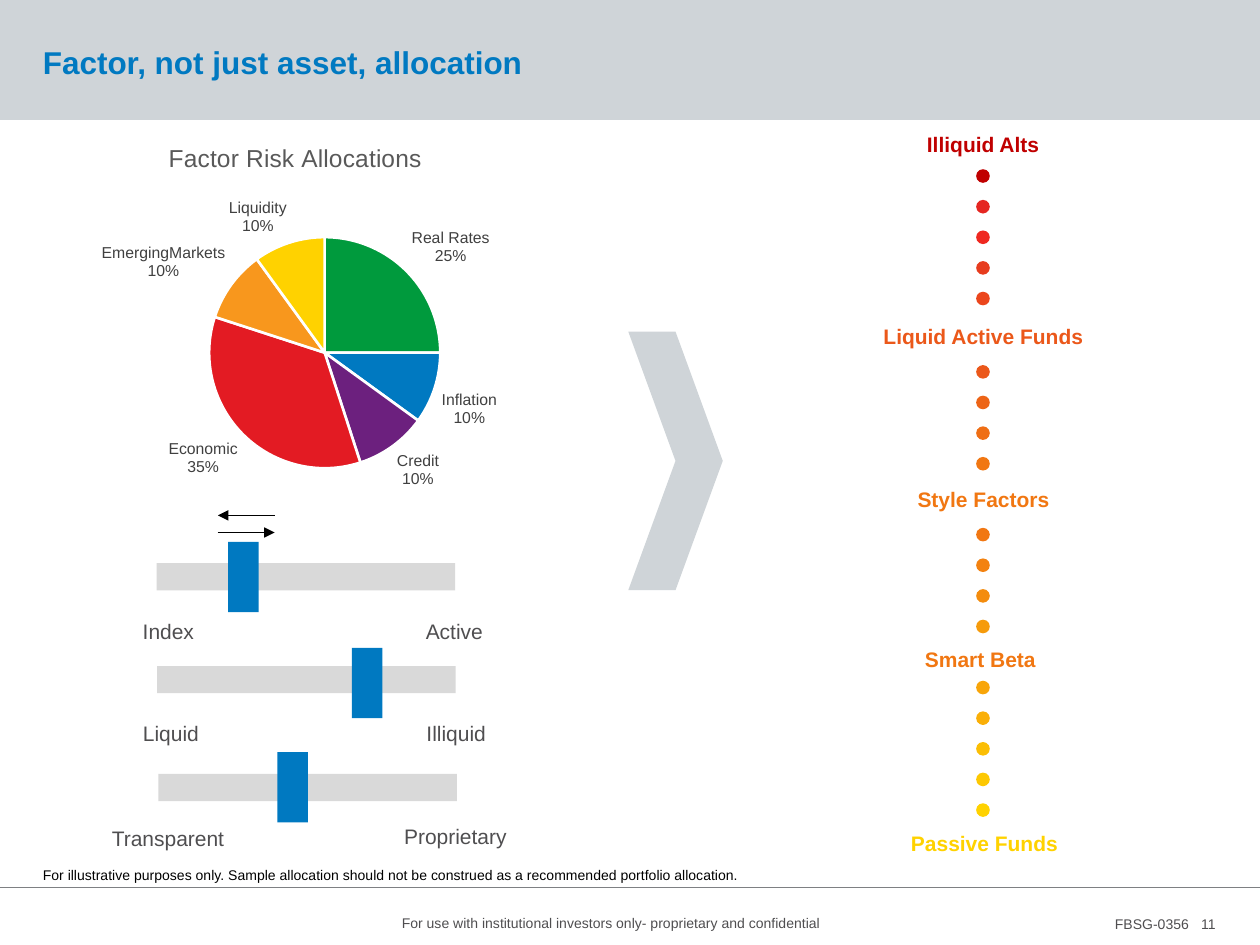
from lxml import etree
from pptx import Presentation
from pptx.chart.data import CategoryChartData
from pptx.dml.color import RGBColor
from pptx.enum.chart import XL_CHART_TYPE, XL_LABEL_POSITION
from pptx.enum.shapes import MSO_CONNECTOR, MSO_SHAPE
from pptx.enum.text import MSO_ANCHOR, PP_ALIGN
from pptx.oxml import parse_xml
from pptx.oxml.ns import nsdecls, qn
from pptx.util import Pt

FONT = "Arial"
COLORS = {
    "band": "CFD4D8", "rule": "7E8083", "track": "D9D9D9", "blue": "0079C1",
    "gray": "4F4E50", "black": "000000", "white": "FFFFFF",
    "chart title": "595959", "chart label": "404040",
}

TITLE = "Factor, not just asset, allocation"
CHART_TITLE = "Factor Risk Allocations"
FACTORS = [  # name, percent, color
    ("Real Rates", 25, "009A3D"), ("Inflation", 10, "0079C1"),
    ("Credit", 10, "6C207E"), ("Economic", 35, "E31B23"),
    ("EmergingMarkets", 10, "F8971D"), ("Liquidity", 10, "FFD200"),
]
SLIDERS = [  # track left, track top, knob left, knob top
    (89.5, 321.8, 130.3, 309.6),
    (89.8, 380.6, 201.1, 370.2),
    (90.5, 442.2, 158.5, 429.8),
]
SLIDER_LABELS = [  # text, left, top, width
    ("Index", 74.5, 350, 44), ("Active", 236.2, 350, 48),
    ("Liquid", 74.6, 408.2, 47), ("Illiquid", 236.6, 408.2, 49),
    ("Transparent", 56.8, 468.2, 79), ("Proprietary", 223.8, 467.2, 74),
]
ARROWS = [(156.9, 124.5, 294.5), (124.3, 156.9, 304.3)]  # start x, end x, y
SPECTRUM_LABELS = [  # text, center x, top, color
    ("Illiquid Alts", 561.8, 73.6, "C00000"),
    ("Liquid Active Funds", 562, 183.2, "EB581A"),
    ("Style Factors", 562, 276.8, "F17712"),
    ("Smart Beta", 560.2, 367.8, "F17712"),
    ("Passive Funds", 562.6, 473, "FFD200"),
]
DOT_GROUPS = [  # top of first dot, colors downward
    (96.7, ["C00000", "E52621", "EF2820", "E73C1E", "EB461C"]),
    (208.6, ["EB581A", "ED6416", "EF6E14", "F17712"]),
    (301.6, ["F17712", "F38210", "F48C0D", "F69B0B"]),
    (389, ["F8A509", "FAAF07", "FBBE04", "FDC802", "FFD200"]),
]
DOT_LEFT, DOT_SIZE, DOT_STEP = 557.8, 7.8, 17.5
DISCLAIMER = ("For illustrative purposes only. Sample allocation should not be "
              "construed as a recommended portfolio allocation.")
CONFIDENTIAL = "For use with institutional investors only- proprietary and confidential"


def rgb(value):
    return RGBColor.from_string(COLORS.get(value, value))


def style_font(font, size, color, bold=False):
    font.name, font.size, font.bold = FONT, Pt(size), bold
    font.color.rgb = rgb(color)


def fill_text(frame, text, size, color, bold=False, align=PP_ALIGN.LEFT,
              anchor=MSO_ANCHOR.TOP, insets=(7.2, 3.6, 7.2, 3.6), wrap=True):
    frame.word_wrap = wrap
    frame.vertical_anchor = anchor
    (frame.margin_left, frame.margin_top,
     frame.margin_right, frame.margin_bottom) = map(Pt, insets)
    para = frame.paragraphs[0]
    para.alignment = align
    span = para.add_run()
    span.text = text
    style_font(span.font, size, color, bold)
    return para


def add_text(page, place, text, size, color, **options):
    box = page.shapes.add_textbox(*map(Pt, place))
    fill_text(box.text_frame, text, size, color, **options)


def add_block(page, kind, place, color):
    shape = page.shapes.add_shape(kind, *map(Pt, place))
    shape.shadow.inherit = False
    shape.fill.solid()
    shape.fill.fore_color.rgb = rgb(color)
    shape.line.fill.background()
    return shape


def add_line(page, ends, color, arrow=False):
    line = page.shapes.add_connector(MSO_CONNECTOR.STRAIGHT, *map(Pt, ends))
    line.line.width = Pt(0.75)
    line.line.color.rgb = rgb(color)
    if arrow:
        etree.SubElement(line.line._get_or_add_ln(), qn("a:tailEnd"), type="triangle")
    etree.SubElement(line._element.spPr, qn("a:effectLst"))


def add_pie(page):
    data = CategoryChartData()
    data.categories = [name for name, _, _ in FACTORS]
    data.add_series("Series 1", [percent for _, percent, _ in FACTORS])
    chart = page.shapes.add_chart(
        XL_CHART_TYPE.PIE, Pt(-40.3), Pt(70.6), Pt(418.3), Pt(223.9), data).chart
    style_font(chart.font, 10, "black")
    chart.has_legend = False
    chart.has_title = True
    span = chart.chart_title.text_frame.paragraphs[0].add_run()
    span.text = CHART_TITLE
    style_font(span.font, 14, "chart title")

    plot = chart.plots[0]
    plot.vary_by_categories = True
    for index, (_, _, color) in enumerate(FACTORS):
        part = plot.series[0].points[index].format
        part.fill.solid()
        part.fill.fore_color.rgb = rgb(color)
        part.line.color.rgb = rgb("white")
        part.line.width = Pt(1.5)
    plot.has_data_labels = True
    labels = plot.data_labels
    labels.show_category_name = labels.show_percentage = True
    labels.show_value = False
    labels.number_format, labels.number_format_is_linked = "0%", False
    labels.position = XL_LABEL_POSITION.OUTSIDE_END
    style_font(labels.font, 9, "chart label")

    area = chart._chartSpace.chart.plotArea
    for old in area.findall(qn("c:layout")):
        area.remove(old)
    sizes = {"x": 0.38, "y": 0.29, "w": 0.32, "h": 0.59}
    area.insert(0, parse_xml(
        f'<c:layout {nsdecls("c")}><c:manualLayout><c:layoutTarget val="inner"/>'
        '<c:xMode val="edge"/><c:yMode val="edge"/>'
        + "".join(f'<c:{key} val="{value}"/>' for key, value in sizes.items())
        + "</c:manualLayout></c:layout>"))


def add_title(page):
    title = page.shapes.title
    title.left, title.top, title.width, title.height = map(Pt, (24.5, 13, 669, 46.8))
    para = fill_text(title.text_frame, TITLE, 18, "blue", bold=True,
                     anchor=MSO_ANCHOR.MIDDLE, insets=(0, 0, 0, 0))
    para.line_spacing = Pt(20)
    page.shapes._spTree.append(title._element)  # in front of the header band


def add_sliders(page):
    for track_left, track_top, knob_left, knob_top in SLIDERS:
        add_block(page, MSO_SHAPE.RECTANGLE, (track_left, track_top, 170.6, 15.6), "track")
        add_block(page, MSO_SHAPE.RECTANGLE, (knob_left, knob_top, 17.5, 40.2), "blue")
    for text, left, top, width in SLIDER_LABELS:
        add_text(page, (left, top, width, 21.6), text, 12, "gray", wrap=False)
    for start, end, y in ARROWS:
        add_line(page, (start, y, end, y), "black", arrow=True)


def add_spectrum(page):
    for text, center, top, color in SPECTRUM_LABELS:
        add_text(page, (center - 65, top, 130, 17.3), text, 12, color, bold=True,
                 align=PP_ALIGN.CENTER, anchor=MSO_ANCHOR.MIDDLE,
                 insets=(5.8, 2.9, 5.8, 2.9))
    for first_top, colors in DOT_GROUPS:
        for index, color in enumerate(colors):
            place = (DOT_LEFT, first_top + index * DOT_STEP, DOT_SIZE, DOT_SIZE)
            add_block(page, MSO_SHAPE.OVAL, place, color)


def add_footer(page):
    add_line(page, (0, 507, 720, 507), "rule")
    add_text(page, (24.5, 491.8, 633.6, 17), DISCLAIMER, 8, "black",
             insets=(0, 3.6, 7.2, 3.6))
    add_text(page, (222.5, 519, 298, 17), CONFIDENTIAL, 8, "gray")
    add_text(page, (630, 519.8, 57.6, 17), "FBSG-0356", 8, "gray", wrap=False)
    add_text(page, (666, 519.4, 28.6, 17), "11", 8, "gray", align=PP_ALIGN.RIGHT,
             anchor=MSO_ANCHOR.MIDDLE, insets=(0, 0, 0, 0))


def main():
    deck = Presentation()
    deck.slide_width, deck.slide_height = Pt(720), Pt(540)
    page = deck.slides.add_slide(deck.slide_layouts[5])
    add_block(page, MSO_SHAPE.RECTANGLE, (0, 0, 720, 68.5), "band")
    add_title(page)
    add_pie(page)
    chevron = add_block(page, MSO_SHAPE.CHEVRON, (359, 189.5, 54, 147.8), "band")
    chevron.adjustments[0] = 0.5
    add_sliders(page)
    add_spectrum(page)
    add_footer(page)
    deck.save("out.pptx")


if __name__ == "__main__":
    main()
